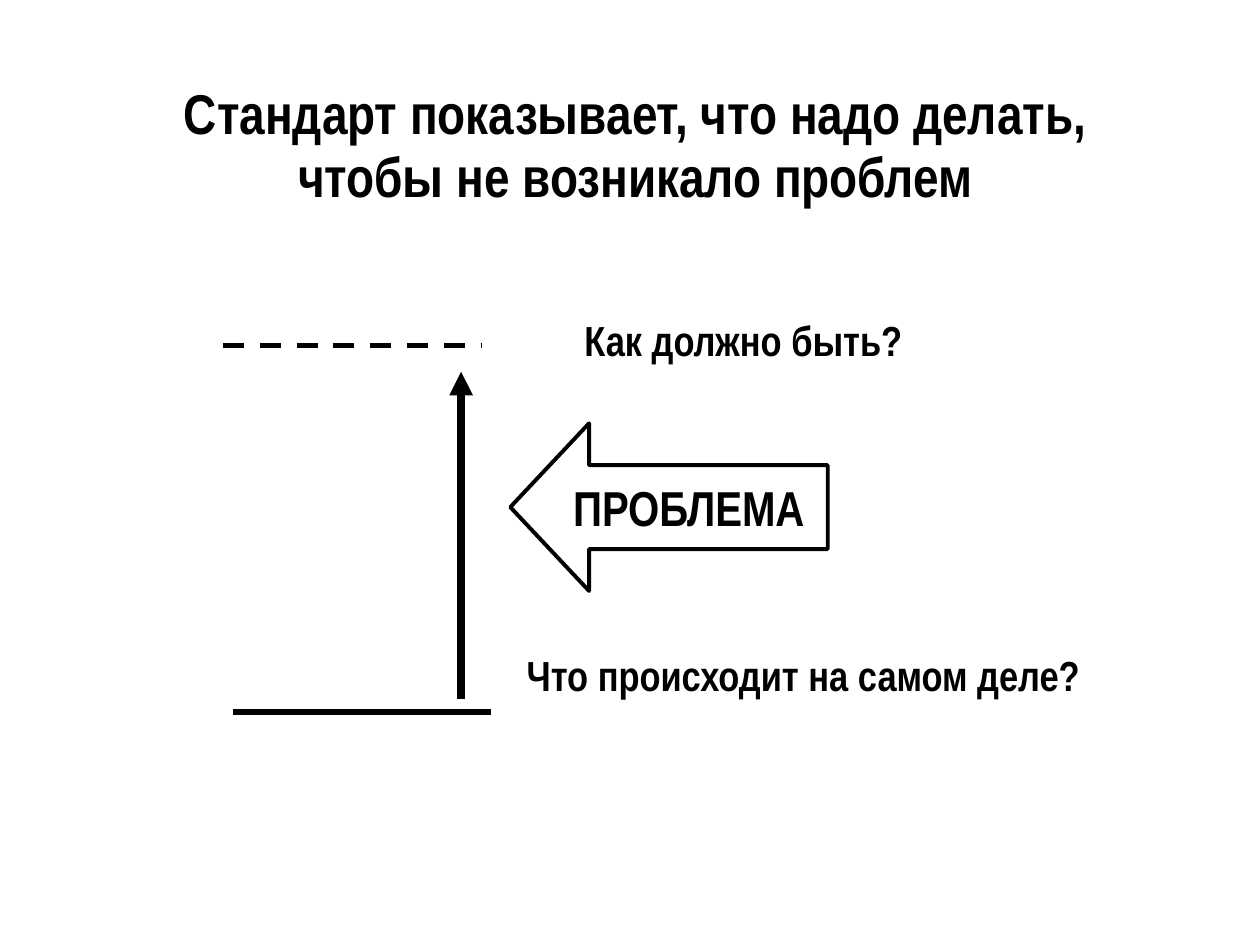
import pptx
import pptx.dml.color
import pptx.enum.dml
import pptx.enum.shapes
import pptx.enum.text
import pptx.oxml.ns
import pptx.util
from lxml import etree

Pt = pptx.util.Pt
INK = {"black": "000000", "white": "FFFFFF"}
FACE = "Arial Narrow"


def tint(name):
    return pptx.dml.color.RGBColor.from_string(INK[name])


def add_sub(parent, tag, **attrs):
    return etree.SubElement(parent, pptx.oxml.ns.qn(tag), **attrs)


def write(shape, text, size, wrap=False):
    """Put one bold, centred paragraph in the middle of a shape."""
    frame = shape.text_frame
    frame.text = text
    frame.word_wrap = wrap
    frame.auto_size = pptx.enum.text.MSO_AUTO_SIZE.NONE
    frame.vertical_anchor = pptx.enum.text.MSO_ANCHOR.MIDDLE
    para = frame.paragraphs[0]
    para.alignment = pptx.enum.text.PP_ALIGN.CENTER
    para.font.name = FACE
    para.font.size = Pt(size)
    para.font.bold = True
    para.font.color.rgb = tint("black")
    return para


def add_title(slide, text):
    title = slide.shapes.title
    title.left, title.top = Pt(36.7), Pt(43.2)
    title.width, title.height = Pt(653), Pt(80.6)
    write(title, text, 32, wrap=True).line_spacing = Pt(36)


def add_label(slide, text, top, width):
    box = slide.shapes.add_textbox(Pt(291.6), Pt(top), Pt(width), Pt(52.6))
    write(box, text, 24)


def add_line(slide, start, end, width, dash=None, head=False):
    line = slide.shapes.add_connector(
        pptx.enum.shapes.MSO_CONNECTOR.STRAIGHT,
        *(Pt(value) for value in start + end))
    line.line.color.rgb = tint("black")
    line.line.width = Pt(width)
    if dash:
        line.line.dash_style = dash
    if head:
        add_sub(line.line._get_or_add_ln(), "a:tailEnd", type="triangle")
    add_sub(line._element.spPr, "a:effectLst")


def add_arrow(slide, text):
    arrow = slide.shapes.add_shape(
        pptx.enum.shapes.MSO_SHAPE.LEFT_ARROW,
        Pt(291.6), Pt(241.9), Pt(181.4), Pt(95.8))
    arrow.adjustments[0] = 0.5
    arrow.adjustments[1] = 0.47
    arrow.shadow.inherit = False
    arrow.fill.solid()
    arrow.fill.fore_color.rgb = tint("white")
    arrow.line.color.rgb = tint("black")
    arrow.line.width = Pt(2.25)
    write(arrow, text, 28)


def main():
    deck = pptx.Presentation()
    deck.slide_width, deck.slide_height = Pt(720), Pt(540)
    slide = deck.slides.add_slide(deck.slide_layouts[5])
    add_title(slide, "Стандарт показывает, что надо делать,\v"
                     "чтобы не возникало проблем")
    add_line(slide, (133.2, 406.8), (280.8, 406.8), 3)
    add_line(slide, (263.5, 399.6), (263.5, 212.4), 4.5, head=True)
    add_line(slide, (127.4, 197.3), (275, 197.3), 3,
             dash=pptx.enum.dml.MSO_LINE.DASH)
    add_label(slide, "Как должно быть?", 167.8, 266.4)
    add_label(slide, "Что происходит на самом деле?", 359.3, 334.8)
    add_arrow(slide, "ПРОБЛЕМА")
    deck.save("out.pptx")


if __name__ == "__main__":
    main()
